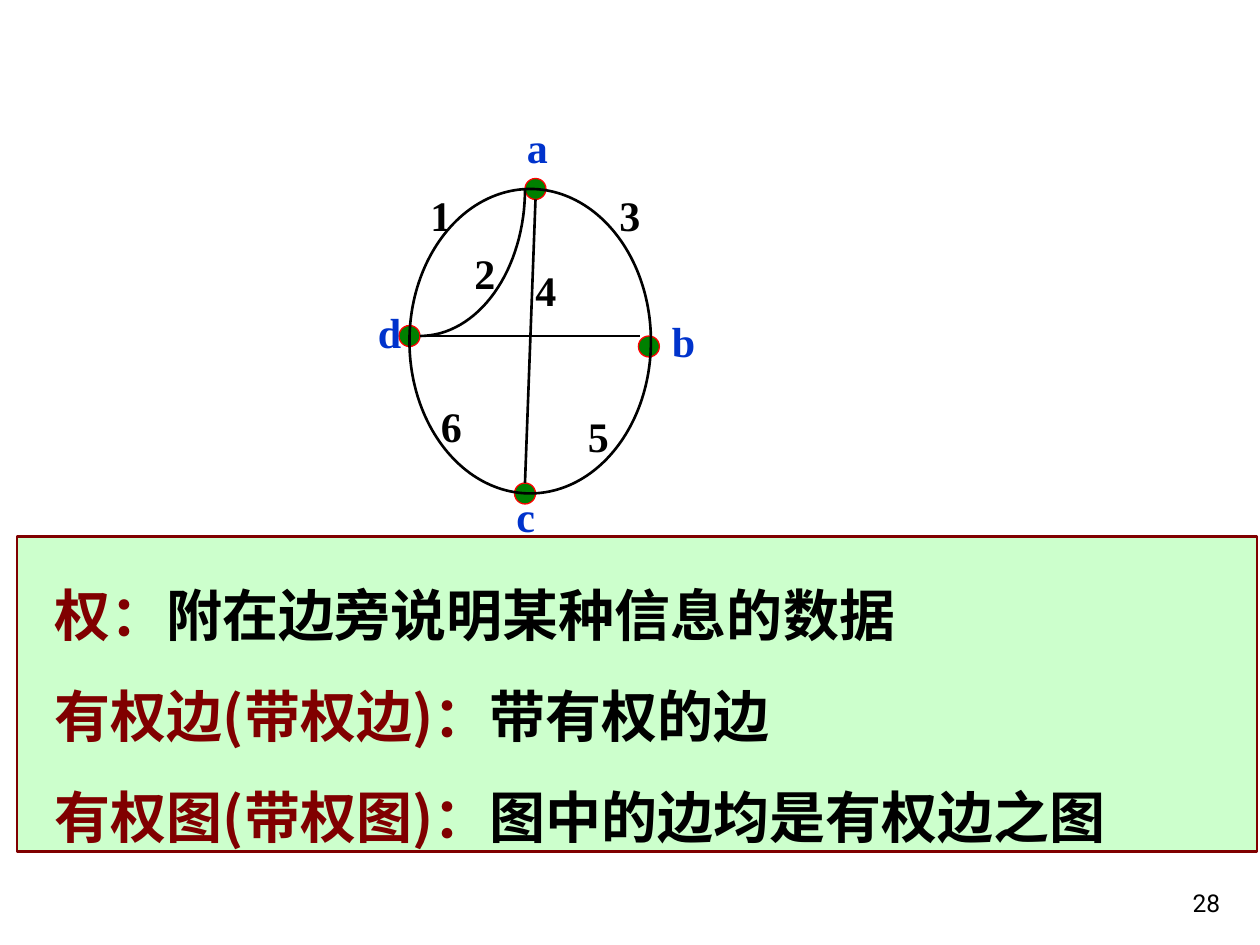
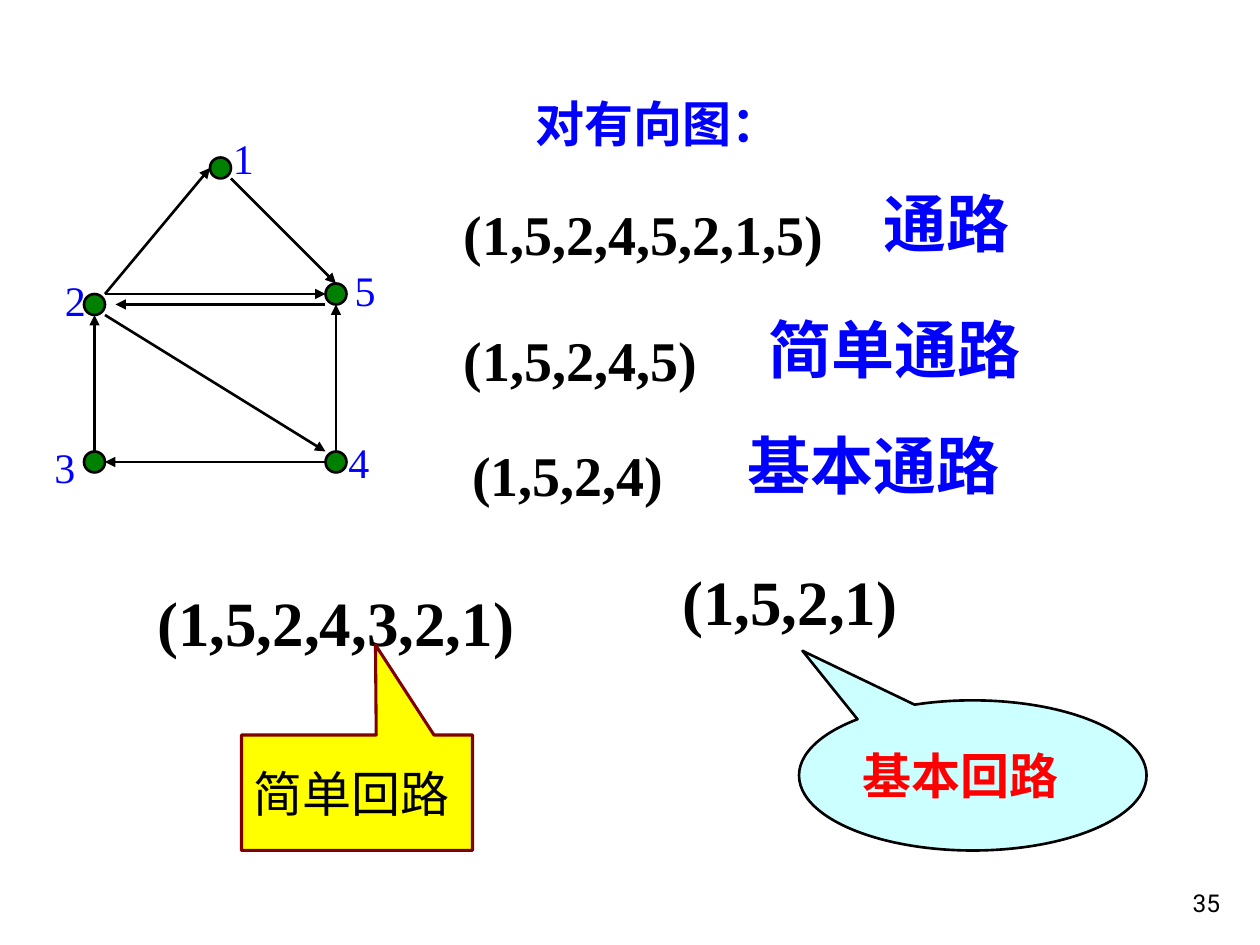
from math import cos, pi, sin

from lxml.etree import SubElement
from pptx import Presentation
from pptx.dml.color import RGBColor
from pptx.enum.shapes import MSO_CONNECTOR, MSO_SHAPE
from pptx.enum.text import MSO_ANCHOR, MSO_AUTO_SIZE, PP_ALIGN
from pptx.oxml.ns import qn
from pptx.util import Pt

PX = 7620  # EMU per px, 120 px to the inch
NODE = 20
LABEL = (44, 60)
SERIF, SANS, HAN = "Times New Roman", "Roboto", "Noto Sans CJK SC"
COLORS = {
    "black": "000000",
    "node": "008000",
    "red": "FF0000",
    "maroon": "800000",
    "vertex": "0033CC",
    "blue": "0000FF",
    "mint": "CCFFCC",
    "cyan": "CCFFFF",
    "yellow": "FFFF00",
}


def emu(*lengths):
    return [length * PX for length in lengths]


def color(name):
    return RGBColor.from_string(COLORS[name])


# Shared styling
def style_run(run, size, font, ink, bold=False):
    run.font.size = Pt(size)
    run.font.bold = bold
    run.font.name = font
    run.font.color.rgb = color(ink)
    east_asian = SubElement(run.font._element, qn("a:ea"))
    east_asian.set("typeface", font)


def style_outline(shape, ink, width, fill=None):
    if fill:
        shape.fill.solid()
        shape.fill.fore_color.rgb = color(fill)
    else:
        shape.fill.background()
    shape.line.color.rgb = color(ink)
    shape.line.width = Pt(width)


def set_text(shape, words, size, font, ink, bold=False, anchor=MSO_ANCHOR.TOP,
             align=PP_ALIGN.LEFT, wrap=True):
    frame = shape.text_frame
    frame.text = words
    frame.word_wrap = wrap
    frame.auto_size = MSO_AUTO_SIZE.NONE
    frame.vertical_anchor = anchor
    paragraph = frame.paragraphs[0]
    paragraph.alignment = align
    style_run(paragraph.runs[0], size, font, ink, bold)


def place(shape, left, top, width, height):
    shape.left, shape.top, shape.width, shape.height = emu(left, top, width, height)


def add_words(slide, box, words, size, font, ink, **options):
    set_text(slide.shapes.add_textbox(*emu(*box)), words, size, font, ink, **options)


def add_outlined(slide, kind, box, ink, width, fill=None):
    shape = slide.shapes.add_shape(kind, *emu(*box))
    shape.shadow.inherit = False
    style_outline(shape, ink, width, fill)
    return shape


def add_page_number(slide, number):
    add_words(slide, (924, 820, 250, 60), number, 14, SANS, "black",
              anchor=MSO_ANCHOR.BOTTOM, align=PP_ALIGN.RIGHT)


# Graph parts, placed from the top left corner of the graph
def add_nodes(slide, left, top, spots, ink, width):
    for x, y in spots:
        add_outlined(slide, MSO_SHAPE.OVAL, (left + x, top + y, NODE, NODE),
                     ink, width, "node")


def add_edges(slide, left, top, edges, arrow=False):
    for x1, y1, x2, y2 in edges:
        edge = slide.shapes.add_connector(
            MSO_CONNECTOR.STRAIGHT, *emu(left + x1, top + y1, left + x2, top + y2))
        edge.line.color.rgb = color("black")
        edge.line.width = Pt(1.5)
        if arrow:
            SubElement(edge.line._get_or_add_ln(), qn("a:tailEnd")).set("type", "triangle")
        SubElement(edge._element.spPr, qn("a:effectLst"))


def add_labels(slide, left, top, labels, ink, bold):
    for words, (x, y) in labels.items():
        add_words(slide, (left + x, top + y, *LABEL), words, 24, SERIF, ink,
                  bold=bold, wrap=False)


def add_weighted_graph(slide, left, top):
    add_nodes(slide, left, top, [(268, 210), (40, 200), (160, 60), (150, 350)], "red", 0.75)
    # Outer ring
    add_outlined(slide, MSO_SHAPE.OVAL, (left + 50, top + 70, 230, 290), "black", 1.5)

    # Inner edge from d to a: a quarter of an ellipse
    center_x, center_y, radius_x, radius_y, steps = left + 60, top + 70, 100, 140, 32
    angles = [pi / 2 * (1 - step / steps) for step in range(steps + 1)]
    points = [(round((center_x + radius_x * cos(angle)) * PX),
               round((center_y + radius_y * sin(angle)) * PX)) for angle in angles]
    builder = slide.shapes.build_freeform(*points[0])
    builder.add_line_segments(points[1:], close=False)
    inner_edge = builder.convert_to_shape()
    inner_edge.shadow.inherit = False
    style_outline(inner_edge, "black", 1.5)

    add_edges(slide, left, top, [(60, 210, 270, 210), (170, 80, 160, 350)])
    vertices = {"a": (150, 0), "b": (288, 185), "c": (140, 351), "d": (8, 176)}
    weights = {"1": (58, 65), "2": (100, 120), "6": (68, 266),
               "5": (208, 275), "4": (158, 136), "3": (238, 65)}
    add_labels(slide, left, top, vertices, "vertex", True)
    add_labels(slide, left, top, weights, "black", True)


def add_directed_graph(slide, left, top):
    add_nodes(slide, left, top,
              [(160, 30), (40, 160), (270, 150), (40, 310), (270, 310)], "black", 1.5)
    add_edges(slide, left, top, [
        (60, 160, 160, 40), (180, 50, 280, 150),
        (50, 310, 50, 180), (280, 310, 280, 170),
        (270, 320, 60, 320), (60, 180, 270, 310),
        (60, 160, 270, 160), (270, 170, 70, 170),
    ], arrow=True)
    numbers = {"1": (170, 0), "2": (10, 136), "3": (0, 295), "4": (280, 290), "5": (286, 126)}
    add_labels(slide, left, top, numbers, "blue", False)


def fill_definitions(panel, box, definitions):
    place(panel, *box)
    style_outline(panel, "maroon", 1.5, "mint")
    frame = panel.text_frame
    frame.auto_size = MSO_AUTO_SIZE.NONE
    frame.vertical_anchor = MSO_ANCHOR.TOP
    frame.margin_top = 10 * PX
    frame.text = "\n".join(term for term, _ in definitions)
    for paragraph, (_, meaning) in zip(frame.paragraphs, definitions):
        properties = paragraph._p.get_or_add_pPr()
        properties.set("marL", str(24 * PX))
        properties.set("indent", "0")
        SubElement(properties, qn("a:buNone"))
        paragraph.alignment = PP_ALIGN.LEFT
        paragraph.line_spacing = Pt(57.6)
        paragraph.space_before = Pt(0)
        paragraph.add_run().text = meaning
        for run, ink in zip(paragraph.runs, ("maroon", "black")):
            style_run(run, 32, HAN, ink, True)


def add_walks(slide, left, top):
    # Sequence offset, sequence, name offset and width, name
    rows = [
        (0, 14, "(1,5,2,4,5,2,1,5)", 400, 0, 240, "通路"),
        (0, 134, "(1,5,2,4,5)", 290, 120, 360, "简单通路"),
        (8, 244, "(1,5,2,4)", 270, 230, 380, "基本通路"),
    ]
    for x, y, sequence, name_x, name_y, name_width, name in rows:
        add_words(slide, (left + x, top + y, 502, 77), sequence, 32, SERIF, "black", bold=True)
        add_words(slide, (left + name_x, top + name_y, name_width, 84), name, 36, SANS,
                  "blue", bold=True)


def add_circuit(slide, left, top, width, sequence, kind, callout_box, pointer,
                fill, outline, name, ink, bold):
    add_words(slide, (left, top, width, 84), sequence, 36, SERIF, "black", bold=True)
    x, y, callout_width, callout_height = callout_box
    callout = add_outlined(slide, kind, (left + x, top + y, callout_width, callout_height),
                           *outline, fill)
    callout.adjustments[0], callout.adjustments[1] = pointer
    set_text(callout, name, 28, SANS, ink, bold=bold, anchor=MSO_ANCHOR.MIDDLE)


# Slides
def build_weighted_slide(deck):
    slide = deck.slides.add_slide(deck.slide_layouts[1])
    heading = slide.shapes.title._element
    heading.getparent().remove(heading)
    add_weighted_graph(slide, 340, 110)
    fill_definitions(slide.placeholders[1], (16, 511, 1181, 300), [
        ("权：", "附在边旁说明某种信息的数据"),
        ("有权边(带权边)：", "带有权的边"),
        ("有权图(带权图)：", "图中的边均是有权边之图"),
    ])
    add_page_number(slide, "28")


def build_directed_slide(deck):
    slide = deck.slides.add_slide(deck.slide_layouts[5])
    place(slide.shapes.title, 498, 83, 292, 68)
    set_text(slide.shapes.title, "对有向图：", 28, SANS, "blue", bold=True)
    add_directed_graph(slide, 40, 120)
    add_walks(slide, 430, 170)
    add_circuit(slide, 638, 530, 322, "(1,5,2,1)", MSO_SHAPE.OVAL_CALLOUT,
                (123, 137, 331, 143), (-0.49, -0.83), "cyan", ("black", 1.5),
                "基本回路", "red", True)
    add_circuit(slide, 138, 550, 602, "(1,5,2,4,3,2,1)", MSO_SHAPE.RECTANGULAR_CALLOUT,
                (92, 150, 220, 110), (0.08, -1.28), "yellow", ("maroon", 1.75),
                "简单回路", "black", False)
    add_page_number(slide, "35")


def main():
    deck = Presentation()
    deck.slide_width, deck.slide_height = emu(1200, 900)
    build_weighted_slide(deck)
    build_directed_slide(deck)
    deck.save("out.pptx")


if __name__ == "__main__":
    main()
